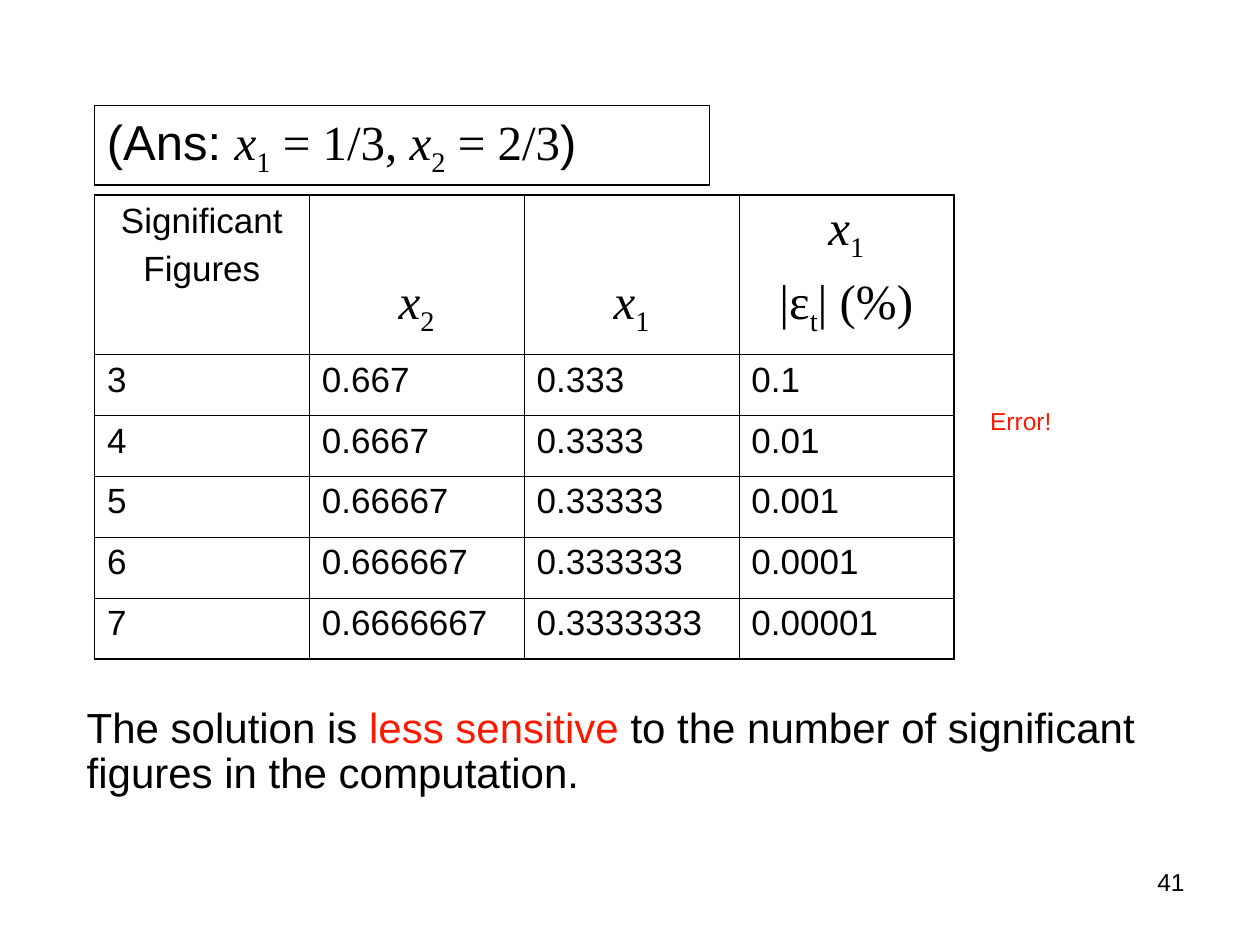
"""Build the slide on sensitivity to the number of significant figures."""
from lxml import etree
from pptx import Presentation
from pptx.dml.color import RGBColor
from pptx.enum.shapes import MSO_SHAPE
from pptx.enum.text import MSO_ANCHOR, PP_ALIGN
from pptx.oxml.ns import qn
from pptx.util import Inches, Pt

LEFT, CENTER, RIGHT = PP_ALIGN.LEFT, PP_ALIGN.CENTER, PP_ALIGN.RIGHT
TOP, BOTTOM = MSO_ANCHOR.TOP, MSO_ANCHOR.BOTTOM
COLORS = {"black": "000000", "red": "FA1A02"}
STYLES = {
    "text": {"font": "Arial"},
    "red": {"font": "Arial", "color": "red"},
    "math": {"font": "Times New Roman"},
    "variable": {"font": "Times New Roman", "italic": True},
    "subscript": {"font": "Times New Roman", "baseline": "-25000"},
}
X1 = [("x", "variable"), ("1", "subscript")]
X2 = [("x", "variable"), ("2", "subscript")]
ANSWER = [("(Ans: ", "text"), *X1, (" = 1/3, ", "math"), *X2, (" = 2/3", "math"), (")", "text")]
CONCLUSION = [
    ("The solution is ", "text"),
    ("less sensitive", "red"),
    (" to the number of significant figures in the computation.", "text"),
]
TEXT_BOXES = [
    ((7.17, 6.83, 2.33, 0.52), [("41", "text")], 14, RIGHT, 0, 1),
    ((0.59, 5.56, 9.14, 0.95), CONCLUSION, 24, LEFT, 6, 0.9),
    ((7.76, 3.2, 0.79, 0.31), [("Error!", "red")], 14, LEFT, 3.5, 0.9),
]
HEADER = [
    ([[("Significant", "text")], [("Figures", "text")]], 20, 5, TOP),
    ([X2], 28, 7, BOTTOM),
    ([X1], 28, 7, BOTTOM),
    ([X1, [("|ε", "math"), ("t", "subscript"), ("| (%)", "math")]], 28, 7, TOP),
]
ROWS = [
    ("3", "0.667", "0.333", "0.1"),
    ("4", "0.6667", "0.3333", "0.01"),
    ("5", "0.66667", "0.33333", "0.001"),
    ("6", "0.666667", "0.333333", "0.0001"),
    ("7", "0.6666667", "0.3333333", "0.00001"),
]
HEADER_HEIGHT, ROW_HEIGHT = 1.26, 0.484
OUTER_LINE, INNER_LINE = 1.08, 0.45


def write(text_frame, lines, size, align, before, spacing=1):
    """Fill a text frame with lines of styled runs."""
    for index, runs in enumerate(lines):
        paragraph = text_frame.paragraphs[0] if index == 0 else text_frame.add_paragraph()
        paragraph.alignment = align
        paragraph.space_before = Pt(before)
        paragraph.line_spacing = spacing
        for text, style_name in runs:
            style = STYLES[style_name]
            run = paragraph.add_run()
            run.text = text
            run.font.size = Pt(size)
            run.font.name = style["font"]
            run.font.italic = style.get("italic", False)
            run.font.color.rgb = RGBColor.from_string(COLORS[style.get("color", "black")])
            if "baseline" in style:
                run.font._element.set("baseline", style["baseline"])


def set_borders(cell, widths):
    """Draw the four cell borders, given in left, right, top, bottom order."""
    properties = cell._tc.get_or_add_tcPr()
    for position, (tag, width) in enumerate(zip(("a:lnL", "a:lnR", "a:lnT", "a:lnB"), widths)):
        line = etree.Element(qn(tag), w=str(Pt(width)))
        fill = etree.SubElement(line, qn("a:solidFill"))
        etree.SubElement(fill, qn("a:srgbClr"), val=COLORS["black"])
        properties.insert(position, line)


presentation = Presentation()
presentation.slide_width, presentation.slide_height = Inches(10), Inches(7.5)
slide = presentation.slides.add_slide(presentation.slide_layouts[6])

for place, runs, size, align, before, spacing in TEXT_BOXES:
    text_frame = slide.shapes.add_textbox(*map(Inches, place)).text_frame
    text_frame.word_wrap = True
    write(text_frame, [runs], size, align, before, spacing)

answer = slide.shapes.add_shape(MSO_SHAPE.RECTANGLE, *map(Inches, (0.75, 0.84, 4.88, 0.63)))
answer.shadow.inherit = False
answer.fill.background()
answer.line.color.rgb = RGBColor.from_string(COLORS["black"])
answer.line.width = Pt(0.74)
answer.text_frame.vertical_anchor = TOP
write(answer.text_frame, [ANSWER], 28, LEFT, 7, 0.9)

grid = [HEADER] + [[([[(value, "text")]], 20, 5, TOP) for value in row] for row in ROWS]
row_count, column_count = len(grid), len(HEADER)
table = slide.shapes.add_table(
    row_count, column_count, *map(Inches, (0.75, 1.55, 6.82, 3.68))
).table
table.horz_banding = table.first_row = False
for index, row in enumerate(table.rows):
    row.height = Inches(ROW_HEIGHT if index else HEADER_HEIGHT)
for row_index, row in enumerate(grid):
    for column_index, (lines, size, before, anchor) in enumerate(row):
        cell = table.cell(row_index, column_index)
        cell.fill.background()
        cell.vertical_anchor = anchor
        cell.margin_bottom = Inches(0.13 if anchor == BOTTOM else 0.05)
        write(cell.text_frame, lines, size, LEFT if row_index else CENTER, before)
        edges = (
            column_index == 0,
            column_index == column_count - 1,
            row_index == 0,
            row_index == row_count - 1,
        )
        set_borders(cell, [OUTER_LINE if edge else INNER_LINE for edge in edges])

presentation.save("out.pptx")
